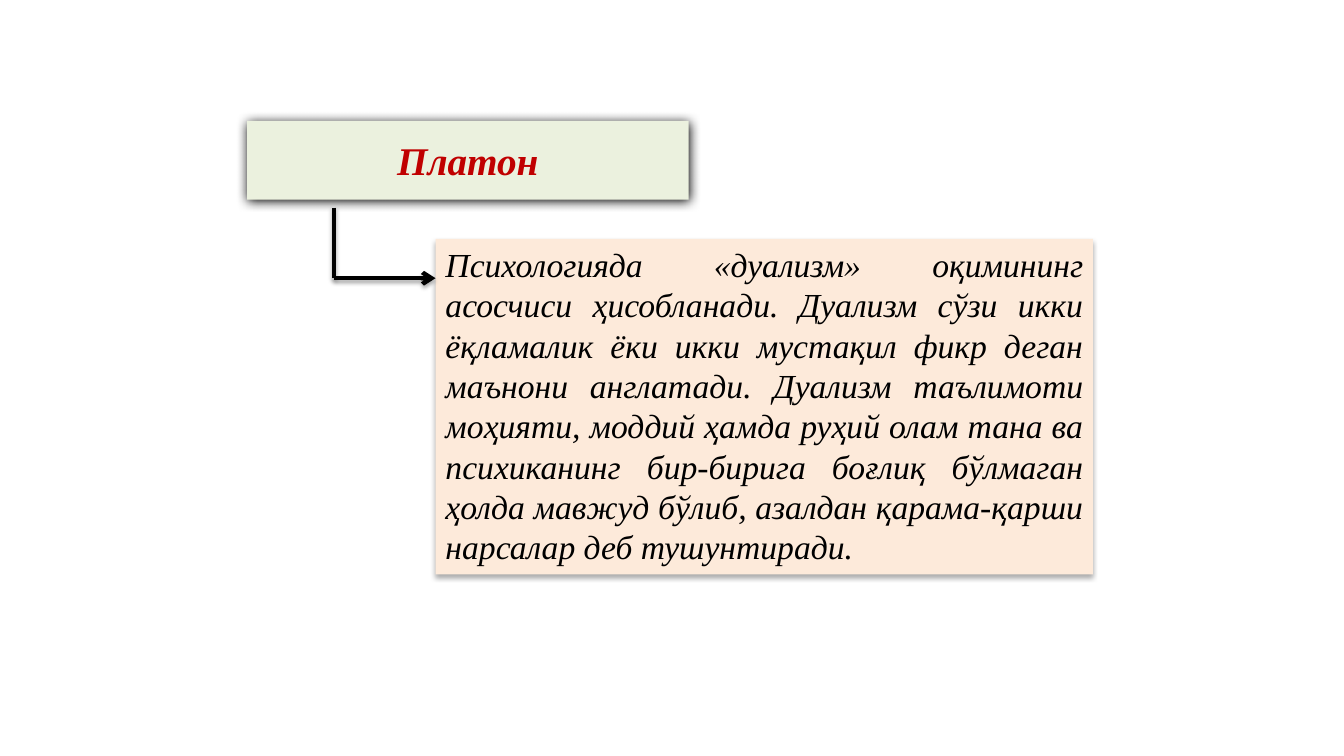
from lxml.etree import SubElement
from pptx import Presentation
from pptx.dml.color import RGBColor
from pptx.enum.shapes import MSO_CONNECTOR, MSO_SHAPE
from pptx.enum.text import MSO_ANCHOR, MSO_AUTO_SIZE, PP_ALIGN
from pptx.oxml.ns import qn
from pptx.util import Inches, Pt

BLACK = RGBColor(0x00, 0x00, 0x00)
RED = RGBColor(0xC0, 0x00, 0x00)
GREEN = RGBColor(0xEB, 0xF1, 0xDE)
PEACH = RGBColor(0xFD, 0xEA, 0xDA)
FONT = "Times New Roman"

PHILOSOPHER = "Платон"
DUALISM = (
    "Психологияда «дуализм» оқимининг асосчиси ҳисобланади. "
    "Дуализм сўзи икки ёқламалик ёки икки мустақил фикр деган маънони англатади. "
    "Дуализм таълимоти моҳияти, моддий ҳамда руҳий олам тана ва психиканинг "
    "бир-бирига боғлиқ бўлмаган ҳолда мавжуд бўлиб, азалдан қарама-қарши "
    "нарсалар деб тушунтиради."
)


def add_shadow(shape, opacity, blur, distance):
    effects = SubElement(shape.element.spPr, qn("a:effectLst"))
    shadow = SubElement(effects, qn("a:outerShdw"), blurRad=str(Pt(blur)),
                        dist=str(Pt(distance)), dir="5400000", rotWithShape="0")
    color = SubElement(shadow, qn("a:srgbClr"), val=str(BLACK))
    SubElement(color, qn("a:alpha"), val=str(opacity * 1000))


def format_panel(shape, fill, shadow):
    shape.fill.solid()
    shape.fill.fore_color.rgb = fill
    shape.line.fill.background()
    add_shadow(shape, *shadow)


def write_text(shape, text, size, color, alignment, anchor, auto_size, bold=False):
    frame = shape.text_frame
    frame.text = text
    frame.word_wrap = True
    frame.auto_size = auto_size
    frame.vertical_anchor = anchor
    paragraph = frame.paragraphs[0]
    paragraph.alignment = alignment
    font = paragraph.runs[0].font
    font.name = FONT
    font.size = Pt(size)
    font.bold = bold
    font.italic = True
    font.color.rgb = color


def add_title(slide):
    title = slide.shapes.title
    title.left, title.top = Inches(2.45), Inches(1.2)
    title.width, title.height = Inches(4.38), Inches(0.78)
    format_panel(title, GREEN, (100, 8.5, 1))
    write_text(title, PHILOSOPHER, 28, RED, PP_ALIGN.CENTER,
               MSO_ANCHOR.MIDDLE, MSO_AUTO_SIZE.NONE, bold=True)


def add_description(slide):
    panel = slide.shapes.add_shape(MSO_SHAPE.RECTANGLE, Inches(4.32), Inches(2.37),
                                   Inches(6.52), Inches(3.33))
    format_panel(panel, PEACH, (32, 3.5, 2.2))
    write_text(panel, DUALISM, 24, BLACK, PP_ALIGN.JUSTIFY,
               MSO_ANCHOR.TOP, MSO_AUTO_SIZE.SHAPE_TO_FIT_TEXT)


def add_line(slide, start, end, arrow=False):
    line = slide.shapes.add_connector(MSO_CONNECTOR.STRAIGHT,
                                      *map(Inches, (*start, *end)))
    line.line.width = Pt(3)
    line.line.color.rgb = BLACK
    if arrow:
        SubElement(line.line._get_or_add_ln(), qn("a:tailEnd"), type="arrow")
    add_shadow(line, 35, 3.1, 1.8)


def main():
    presentation = Presentation()
    presentation.slide_width = Inches(13.33)
    presentation.slide_height = Inches(7.5)
    slide = presentation.slides.add_slide(presentation.slide_layouts[5])
    add_title(slide)
    add_description(slide)
    corner = (3.31, 2.76)
    add_line(slide, (3.31, 2.06), corner)
    add_line(slide, corner, (4.32, 2.76), arrow=True)
    presentation.save("out.pptx")


if __name__ == "__main__":
    main()
